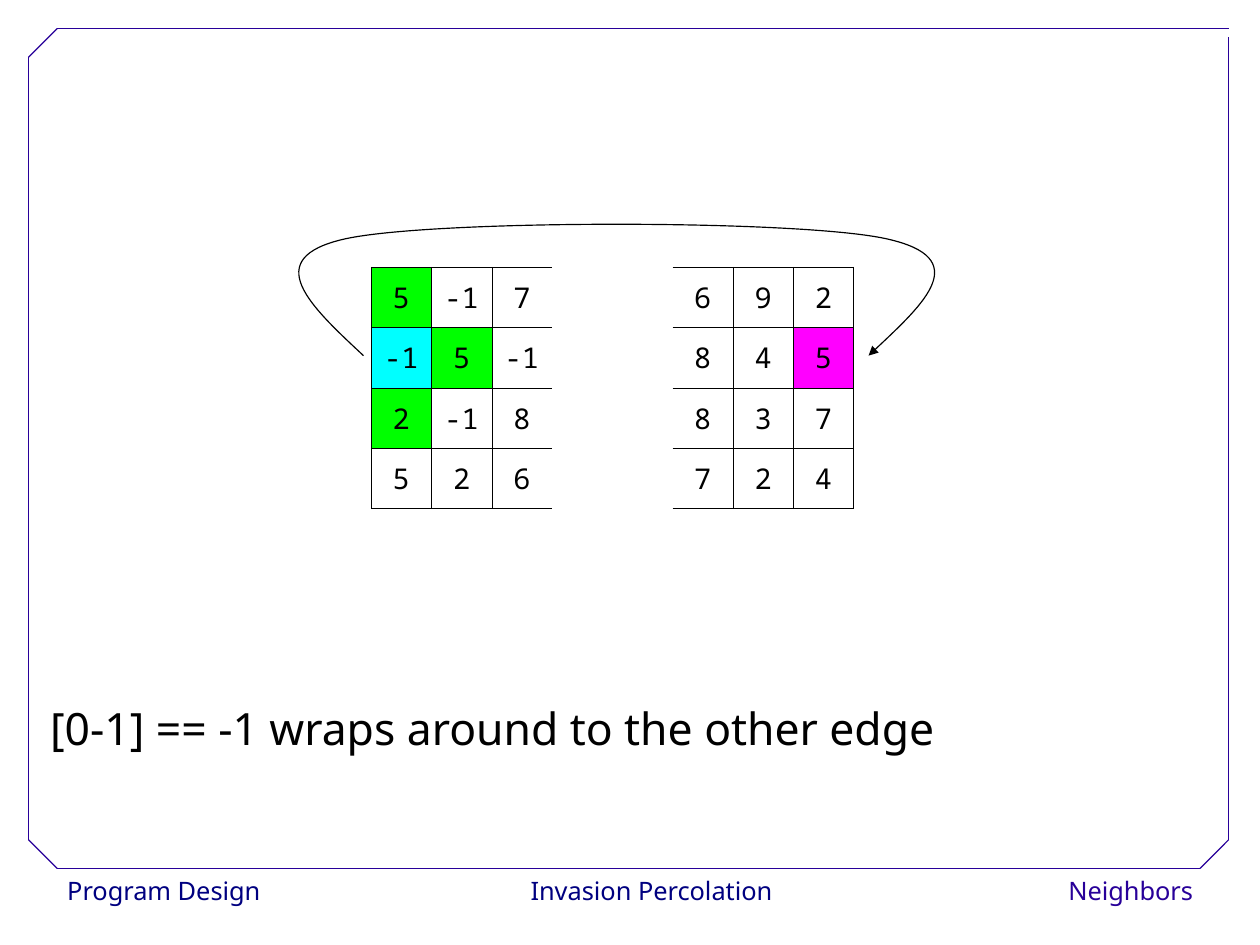
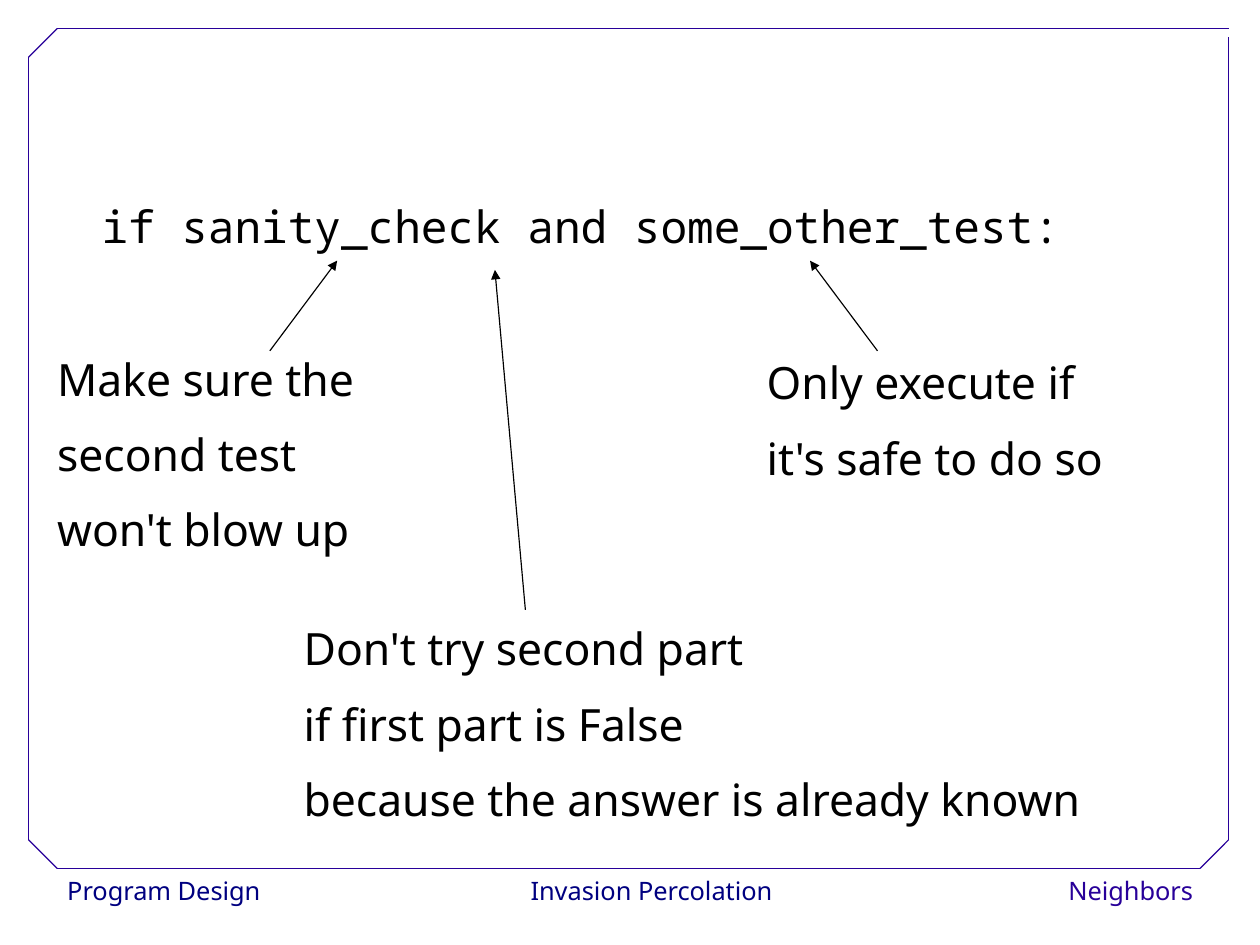
"""Build two slides on neighbor checks in invasion percolation."""
import lxml.etree
import pptx
import pptx.dml.color
import pptx.enum.shapes
import pptx.enum.text
import pptx.oxml.ns
import pptx.util

Pt = pptx.util.Pt
RGB = pptx.dml.color.RGBColor
ALIGN = pptx.enum.text.PP_ALIGN
ANCHOR = pptx.enum.text.MSO_ANCHOR
qn = pptx.oxml.ns.qn

BLACK = RGB(0, 0, 0)
WHITE = RGB(255, 255, 255)
NAVY = RGB(0, 0, 0x80)
INDIGO = RGB(0x28, 0, 0x99)
GREEN = RGB(0, 255, 0)
CYAN = RGB(0, 255, 255)
MAGENTA = RGB(255, 0, 255)
SANS, MONO = "Noto Sans", "Noto Sans Mono"

PAGE = (793.75, 595.25)
INSET = 7.2
FOOTERS = [
    ("Program Design", (35.3, 547.2, 129.6, 28.8), ALIGN.LEFT, NAVY),
    ("Invasion Percolation", (329.8, 547.2, 161.3, 28.8), ALIGN.CENTER, NAVY),
    ("Neighbors", (658, 547.2, 100.8, 28.8), ALIGN.RIGHT, INDIGO),
]
LEFT, TOP, RIGHT, BOTTOM, CUT = 18, 18, 774, 547, 18
FRAME = [
    (LEFT + CUT, BOTTOM, RIGHT - CUT, BOTTOM),
    (LEFT, BOTTOM - CUT, LEFT, TOP + CUT),
    (LEFT + CUT, TOP, RIGHT, TOP),
    (RIGHT, BOTTOM - CUT, RIGHT, 23.2),
    (LEFT, TOP + CUT, LEFT + CUT, TOP),
    (RIGHT - CUT, BOTTOM, RIGHT, BOTTOM - CUT),
    (LEFT, BOTTOM - CUT, LEFT + CUT, BOTTOM),
]

GRID = [
    ["5", "-1", "7", "", "", "6", "9", "2"],
    ["-1", "5", "-1", "", "", "8", "4", "5"],
    ["2", "-1", "8", "", "", "8", "3", "7"],
    ["5", "2", "6", "", "", "7", "2", "4"],
]
GRID_LEFT, GRID_TOP, CELL = 233.8, 168.2, 38
GAP_COLS = (3, 4)
MARKED = {(0, 0): GREEN, (1, 0): CYAN, (1, 1): GREEN, (2, 0): GREEN, (1, 7): MAGENTA}
WRAP_CURVE = [
    (229, 224), (195.8, 193), (162.7, 162.7), (217.4, 150.5),
    (272.9, 138.2), (504, 138.2), (558.7, 150.5),
    (613.4, 162.7), (580.3, 193), (547.2, 224),
]
CAPTION = (["[0-1] == -1 wraps around to the other edge"], (24.5, 421.2, 644.4, 57.6))

CODE = (["if sanity_check and some_other_test:"], (56.9, 113.2, 619.2, 42.5))
NOTES = [
    (["Make sure the", "second test", "won't blow up"], (28.9, 221, 216.7, 150.5)),
    (["Only execute if", "it's safe to do so"], (475.9, 223.4, 244.8, 96.5)),
    (["Don't try second part", "if first part is False", "because the answer is already known"],
     (184.2, 390.8, 547.9, 150.5)),
]
ARROWS = [
    (170, 221, 212.4, 164.2),
    (552.8, 221, 510.3, 164.2),
    (331, 384.2, 311.8, 170),
]


def format_text(p, text, spacing, align=ALIGN.LEFT, **font):
    """Write one paragraph with its spacing and font."""
    p.alignment, p.line_spacing = align, spacing
    r = p.add_run()
    r.text = text
    r.font.color.rgb = font.pop("color", BLACK)
    for key, value in font.items():
        setattr(r.font, key, value)


def add_text(s, lines, box, spacings, **style):
    """Add an unwrapped text box with one paragraph per line."""
    tf = s.shapes.add_textbox(*map(Pt, box)).text_frame
    tf.word_wrap = False
    for i, (line, spacing) in enumerate(zip(lines, spacings)):
        p = tf.add_paragraph() if i else tf.paragraphs[0]
        format_text(p, line, spacing, **style)


def add_footer(s, text, box, align, color):
    """Add a white footer label, inset only on the side it aligns to."""
    sp = s.shapes.add_shape(pptx.enum.shapes.MSO_SHAPE.RECTANGLE, *map(Pt, box))
    sp.shadow.inherit = False
    sp.fill.solid()
    sp.fill.fore_color.rgb = WHITE
    sp.line.fill.background()
    layout = {
        "word_wrap": False,
        "vertical_anchor": ANCHOR.TOP,
        "margin_left": Pt(INSET if align == ALIGN.LEFT else 0),
        "margin_right": Pt(INSET if align == ALIGN.RIGHT else 0),
    }
    for key, value in layout.items():
        setattr(sp.text_frame, key, value)
    format_text(sp.text_frame.paragraphs[0], text, 1.02, align,
                name=SANS, size=Pt(16), color=color)
    return sp


def style_line(sp, color, arrow=False):
    """Set a thin line, optionally ending in an arrowhead."""
    sp.line.color.rgb = color
    sp.line.width = Pt(0.75)
    if arrow:
        lxml.etree.SubElement(sp.line._get_or_add_ln(), qn("a:tailEnd"), type="triangle")


def add_line(s, ends, color, arrow=False):
    """Add a straight line without a shadow."""
    sp = s.shapes.add_connector(pptx.enum.shapes.MSO_CONNECTOR.STRAIGHT, *map(Pt, ends))
    style_line(sp, color, arrow)
    lxml.etree.SubElement(sp._element.spPr, qn("a:effectLst"))
    return sp


def add_curve(s, points):
    """Add an arrow of cubic segments through the given control points."""
    builder = s.shapes.build_freeform(Pt(points[0][0]), Pt(points[0][1]))
    builder.add_line_segments([(Pt(x), Pt(y)) for x, y in points[1:]], close=False)
    sp = builder.convert_to_shape()
    sp.shadow.inherit = False
    sp.fill.background()
    style_line(sp, BLACK, arrow=True)
    steps = list(sp._element.iter(qn("a:lnTo")))
    for i in range(0, len(steps), 3):
        cubic = lxml.etree.SubElement(steps[i].getparent(), qn("a:cubicBezTo"))
        for step in steps[i:i + 3]:
            cubic.append(step[0])
            step.getparent().remove(step)


def set_borders(cell, col):
    """Draw hairlines around a cell, leaving the gap columns open."""
    gap = col in GAP_COLS
    hidden = {"L": gap or col - 1 in GAP_COLS, "R": gap or col + 1 in GAP_COLS, "T": gap, "B": gap}
    tcPr = cell._tc.get_or_add_tcPr()
    for i, (side, off) in enumerate(hidden.items()):
        ln = lxml.etree.Element(qn("a:ln" + side), w=str(Pt(0.06)))
        if off:
            lxml.etree.SubElement(ln, qn("a:noFill"))
        else:
            fill = lxml.etree.SubElement(ln, qn("a:solidFill"))
            lxml.etree.SubElement(fill, qn("a:srgbClr"), val=str(BLACK))
        tcPr.insert(i, ln)


def add_grid(s):
    """Add the table of cell values."""
    rows, cols = len(GRID), len(GRID[0])
    box = (GRID_LEFT, GRID_TOP, cols * CELL, rows * CELL)
    table = s.shapes.add_table(rows, cols, *map(Pt, box)).table
    table.first_row = table.horz_banding = False
    for track in table.columns:
        track.width = Pt(CELL)
    for row, values in enumerate(GRID):
        table.rows[row].height = Pt(CELL)
        for col, value in enumerate(values):
            cell = table.cell(row, col)
            cell.vertical_anchor = ANCHOR.MIDDLE
            if (row, col) in MARKED:
                cell.fill.solid()
                cell.fill.fore_color.rgb = MARKED[row, col]
            else:
                cell.fill.background()
            set_borders(cell, col)
            if value:
                format_text(cell.text_frame.paragraphs[0], value, 1.02, ALIGN.CENTER,
                            name=MONO, size=Pt(18))


def dress_layout(layout, s):
    """Draw the footers and frame on a slide and move them to its layout."""
    for ph in list(layout.placeholders):
        ph.element.getparent().remove(ph.element)
    shared = [add_footer(s, *footer) for footer in FOOTERS]
    shared += [add_line(s, ends, INDIGO) for ends in FRAME]
    for sp in shared:
        layout.shapes.element.append(sp.element)


def main():
    """Build and save the presentation."""
    prs = pptx.Presentation()
    prs.slide_width, prs.slide_height = map(Pt, PAGE)
    layout = prs.slide_layouts.get_by_name("Blank")
    body = {"name": SANS, "size": Pt(28)}

    s = prs.slides.add_slide(layout)
    dress_layout(layout, s)
    add_text(s, *CAPTION, [1.5], **body)
    add_grid(s)
    add_curve(s, WRAP_CURVE)

    s = prs.slides.add_slide(layout)
    add_text(s, *CODE, [1.25], name=MONO, size=Pt(28))
    for lines, box in NOTES:
        add_text(s, lines, box, [0.93, 1.4, 1.4], **body)
    for ends in ARROWS:
        add_line(s, ends, BLACK, arrow=True)
    prs.save("out.pptx")


if __name__ == "__main__":
    main()
